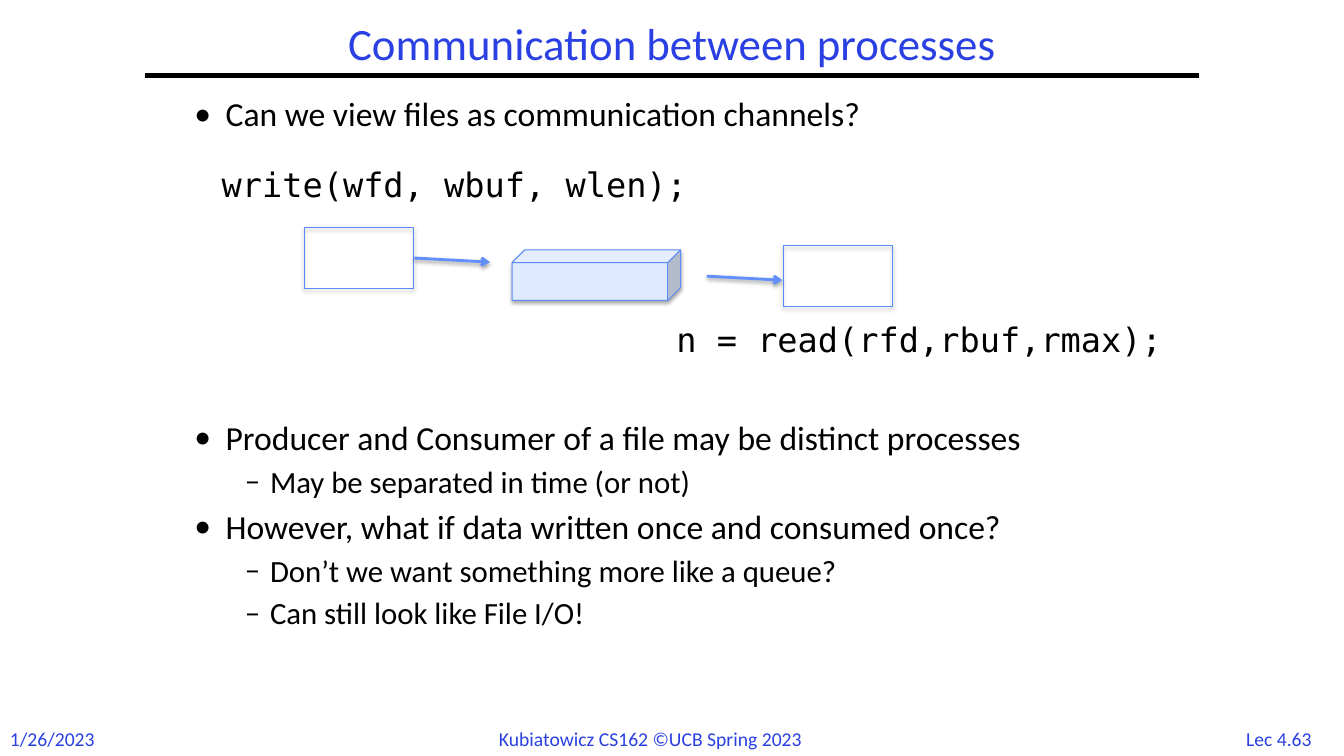
from dataclasses import dataclass

from lxml.etree import SubElement
from pptx import Presentation
from pptx.dml.color import RGBColor as RGB
from pptx.enum.shapes import MSO_CONNECTOR as CONN, MSO_SHAPE as SHAPE
from pptx.enum.text import MSO_ANCHOR as ANCHOR, PP_ALIGN as ALIGN
from pptx.oxml.ns import qn
from pptx.util import Inches, Pt


@dataclass(frozen=True)
class Theme:
    """Colours, fonts and type sizes of the slide."""
    accent: RGB = RGB.from_string("2A40E2")
    ink: RGB = RGB.from_string("000000")
    outline: RGB = RGB.from_string("5B8AFB")
    arrow: RGB = RGB.from_string("618FFD")
    channel: RGB = RGB.from_string("DFE9FF")
    font: str = "Calibri"
    mono: str = "DejaVu Sans Mono"
    title: int = 32
    body: int = 24
    sub: int = 22
    footer: int = 14


T = Theme()
LEVELS = [("•", 0.31, -0.31, T.body), ("–", 0.75, -0.25, T.sub)]


def add_run(p, text, size, color=T.ink, font=T.font):
    """Append a formatted run to a paragraph."""
    r = p.add_run()
    r.text = text
    r.font.size, r.font.name = Pt(size), font
    r.font.color.rgb = color


def add_text(s, box, text, align=ALIGN.LEFT, anchor=ANCHOR.TOP, wrap=True, spacing=None, **fmt):
    """Add a one-paragraph text box."""
    tf = s.shapes.add_textbox(*map(Inches, box)).text_frame
    tf.word_wrap, tf.vertical_anchor = wrap, anchor
    p = tf.paragraphs[0]
    p.alignment, p.line_spacing = align, spacing
    add_run(p, text, **fmt)


def add_shadow(sp, alpha, dist):
    """Give a shape or connector a soft shadow straight below it."""
    effects = SubElement(sp._element.spPr, qn("a:effectLst"))
    shadow = SubElement(effects, qn("a:outerShdw"), blurRad=str(Pt(3.1)), dist=str(Pt(dist)),
                        dir="5400000", rotWithShape="0")
    color = SubElement(shadow, qn("a:srgbClr"), val=str(T.ink))
    SubElement(color, qn("a:alpha"), val=str(alpha * 1000))


def add_line(s, start, end, color, width):
    """Add a straight connector without effects."""
    sp = s.shapes.add_connector(CONN.STRAIGHT, *map(Inches, start + end))
    sp.line.color.rgb, sp.line.width = color, Pt(width)
    return sp


def add_arrow(s, x, y):
    """Add a data-flow arrow starting at the given point."""
    sp = add_line(s, (x, y), (x + 0.75, y + 0.04), T.arrow, 2)
    SubElement(sp.line._get_or_add_ln(), qn("a:tailEnd"), type="arrow")
    add_shadow(sp, 38, 1.6)


def add_block(s, kind, box, fill=None):
    """Add an outlined block with a shadow."""
    sp = s.shapes.add_shape(kind, *map(Inches, box))
    if fill is None:
        sp.fill.background()
    else:
        sp.fill.solid()
        sp.fill.fore_color.rgb = fill
    sp.line.color.rgb, sp.line.width = T.outline, Pt(0.75)
    add_shadow(sp, 35, 1.8)


def add_bullets(s, box, items):
    """Add a bulleted list of (level, text) items."""
    tf = s.shapes.add_textbox(*map(Inches, box)).text_frame
    tf.word_wrap = True
    for i, (level, text) in enumerate(items):
        mark, left, indent, size = LEVELS[level]
        p = tf.add_paragraph() if i else tf.paragraphs[0]
        p.level, p.line_spacing = level, 0.9
        p.space_before = Pt(0.3 * size if i else 0)
        pPr = p._p.get_or_add_pPr()
        pPr.set("marL", str(Inches(left)))
        pPr.set("indent", str(Inches(indent)))
        SubElement(pPr, qn("a:buFont"), typeface=T.font)
        SubElement(pPr, qn("a:buChar"), char=mark)
        add_run(p, text, size)


def add_header(s, box, text):
    """Add the title with the rule beneath it."""
    x, y, w, h = box
    rule = add_line(s, (x, y + h), (x + w, y + h), T.ink, 3)
    SubElement(rule._element.spPr, qn("a:effectLst"))
    add_text(s, box, text, ALIGN.CENTER, ANCHOR.MIDDLE, spacing=0.9, size=T.title, color=T.accent)


def add_footer(s, y, parts):
    """Add the footer texts given as (left, width, alignment, text)."""
    for x, w, align, text in parts:
        add_text(s, (x, y, w, 0.34), text, align, wrap=False, size=T.footer, color=T.accent)


def add_channel(s, x, y):
    """Draw writer, file and reader with their calls."""
    code = dict(size=T.body, font=T.mono)
    add_text(s, (x, y, 5.11, 0.5), "write(wfd, wbuf, wlen);", **code)
    add_text(s, (x + 4.51, y + 1.53, 5.05, 0.5), "n = read(rfd,rbuf,rmax);", **code)
    add_block(s, SHAPE.CUBE, (x + 2.98, y + 0.9, 1.67, 0.5), T.channel)
    for dx, dy in [(0.92, 0.68), (5.67, 0.86)]:
        add_block(s, SHAPE.RECTANGLE, (x + dx, y + dy, 1.08, 0.6))
    for dx, dy in [(2.01, 0.98), (4.91, 1.16)]:
        add_arrow(s, x + dx, y + dy)


def main():
    """Build the slide and save it."""
    prs = Presentation()
    prs.slide_width, prs.slide_height = Inches(13.33), Inches(7.5)
    s = prs.slides.add_slide(prs.slide_layouts[6])
    add_footer(s, 7.16, [
        (0, 1.07, ALIGN.LEFT, "1/26/2023"),
        (4.85, 3.63, ALIGN.LEFT, "Kubiatowicz CS162 ©UCB Spring 2023"),
        (12.2, 0.97, ALIGN.CENTER, "Lec 4.63"),
    ])
    add_header(s, (1.44, 0.17, 10.45, 0.58), "Communication between processes")
    add_bullets(s, (1.83, 0.92, 9.83, 0.5), [(0, "Can we view files as communication channels?")])
    add_channel(s, 2.1, 1.58)
    add_bullets(s, (1.83, 4.13, 9.83, 2.5), [
        (0, "Producer and Consumer of a file may be distinct processes"),
        (1, "May be separated in time (or not)"),
        (0, "However, what if data written once and consumed once?"),
        (1, "Don’t we want something more like a queue?"),
        (1, "Can still look like File I/O!"),
    ])
    prs.save("out.pptx")


if __name__ == "__main__":
    main()
